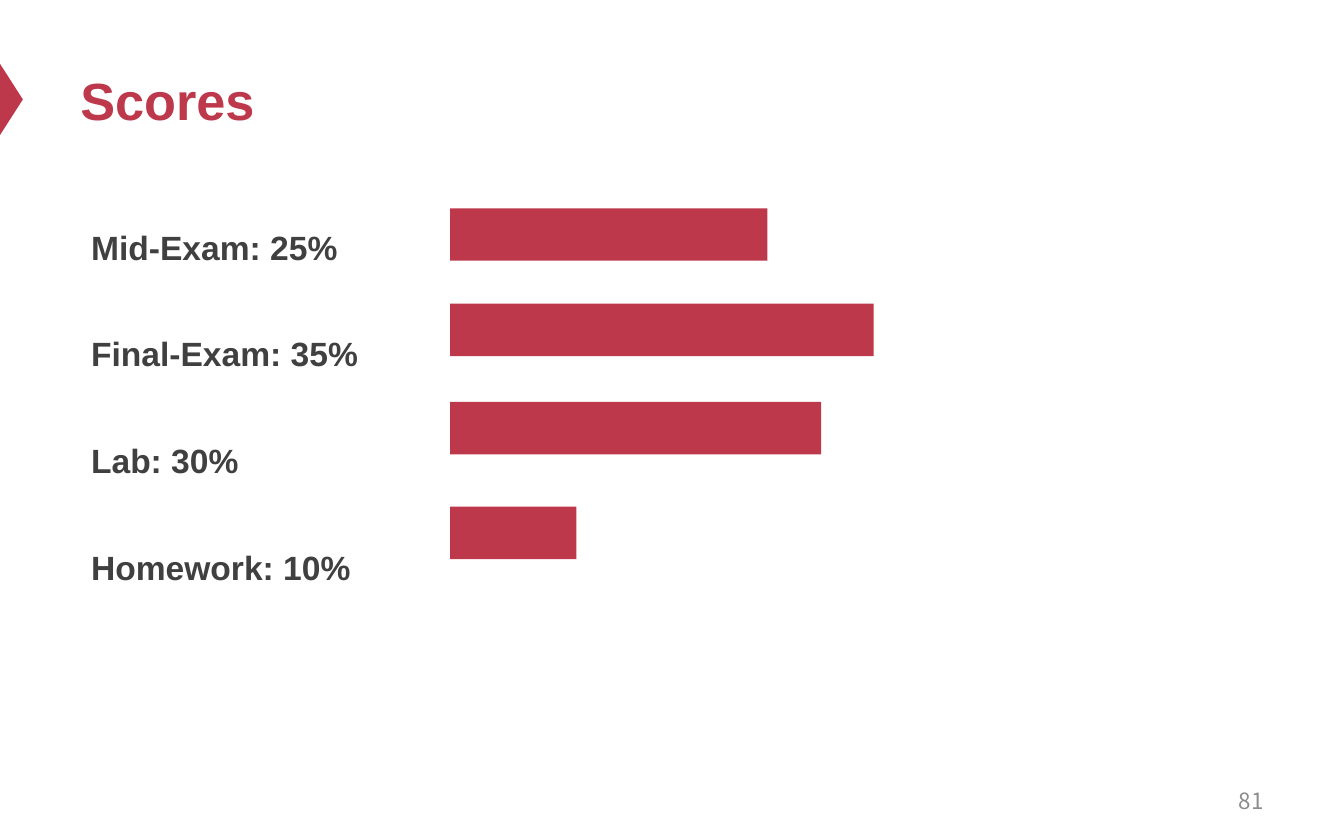
from pptx import Presentation
from pptx.dml.color import RGBColor
from pptx.enum.shapes import MSO_SHAPE as Shape
from pptx.enum.text import MSO_ANCHOR as Anchor, PP_ALIGN as Align
from pptx.util import Inches, Pt

WIDTH, HEIGHT = 10, 6.25
CRIMSON, CHARCOAL, GRAY = "BE384B", "404040", "8C8C8C"
BAR_HEIGHT = 0.39
SCORES = [
    ("Mid-Exam: 25%", 0.24, 2.36),
    ("Final-Exam: 35%", 0.95, 3.15),
    ("Lab: 30%", 1.68, 2.76),
    ("Homework: 10%", 2.46, 0.94),
]


def color(value):
    return RGBColor.from_string(value)


def add_block(slide, preset, box):
    block = slide.shapes.add_shape(preset, *map(Inches, box))
    block.shadow.inherit = False
    block.fill.solid()
    block.fill.fore_color.rgb = color(CRIMSON)
    block.line.fill.background()
    return block


def add_text(slide, box, lines, size, tint, font="Arial", bold=True,
             anchor=Anchor.MIDDLE, align=Align.LEFT):
    frame = slide.shapes.add_textbox(*map(Inches, box)).text_frame
    frame.word_wrap = True
    frame.vertical_anchor = anchor
    frame.text = "\n".join(lines)
    for paragraph in frame.paragraphs:
        paragraph.alignment = align
        paragraph.font.name = font
        paragraph.font.size = Pt(size)
        paragraph.font.bold = bold
        paragraph.font.color.rgb = color(tint)
    return frame


def add_header(slide, box):
    left, top, width, height = box
    base, depth = 0.53, 0.17
    middle = top + height / 2
    marker = add_block(slide, Shape.ISOSCELES_TRIANGLE,
                       ((depth - base) / 2, middle - depth / 2, base, depth))
    marker.rotation = 90
    add_text(slide, box, ["Scores"], 28, CRIMSON)


def add_scores(slide, box):
    left, top, width, height = box
    labels = add_text(slide, box, [label for label, _, _ in SCORES],
                      18, CHARCOAL, anchor=Anchor.TOP)
    for index, paragraph in enumerate(labels.paragraphs):
        paragraph.line_spacing = 2.09
        paragraph.space_before = Pt(12 if index else 0)
    bar_left = left + 2.77
    for _, offset, length in SCORES:
        add_block(slide, Shape.RECTANGLE,
                  (bar_left, top + offset, length, BAR_HEIGHT))


def add_page_number(slide, box):
    add_text(slide, box, ["81"], 12, GRAY, font="Noto Sans CJK SC",
             bold=False, align=Align.RIGHT)


def main():
    deck = Presentation()
    deck.slide_width, deck.slide_height = Inches(WIDTH), Inches(HEIGHT)
    slide = deck.slides.add_slide(deck.slide_layouts[6])
    margin = WIDTH * 0.05
    content_width = WIDTH - 2 * margin
    add_header(slide, (margin, 0.25, content_width, 0.98))
    add_scores(slide, (margin + 0.08, 1.31, content_width, 4.51))
    add_page_number(slide, (WIDTH - margin - 2.33, 5.79, 2.33, 0.33))
    deck.save("out.pptx")


if __name__ == "__main__":
    main()
